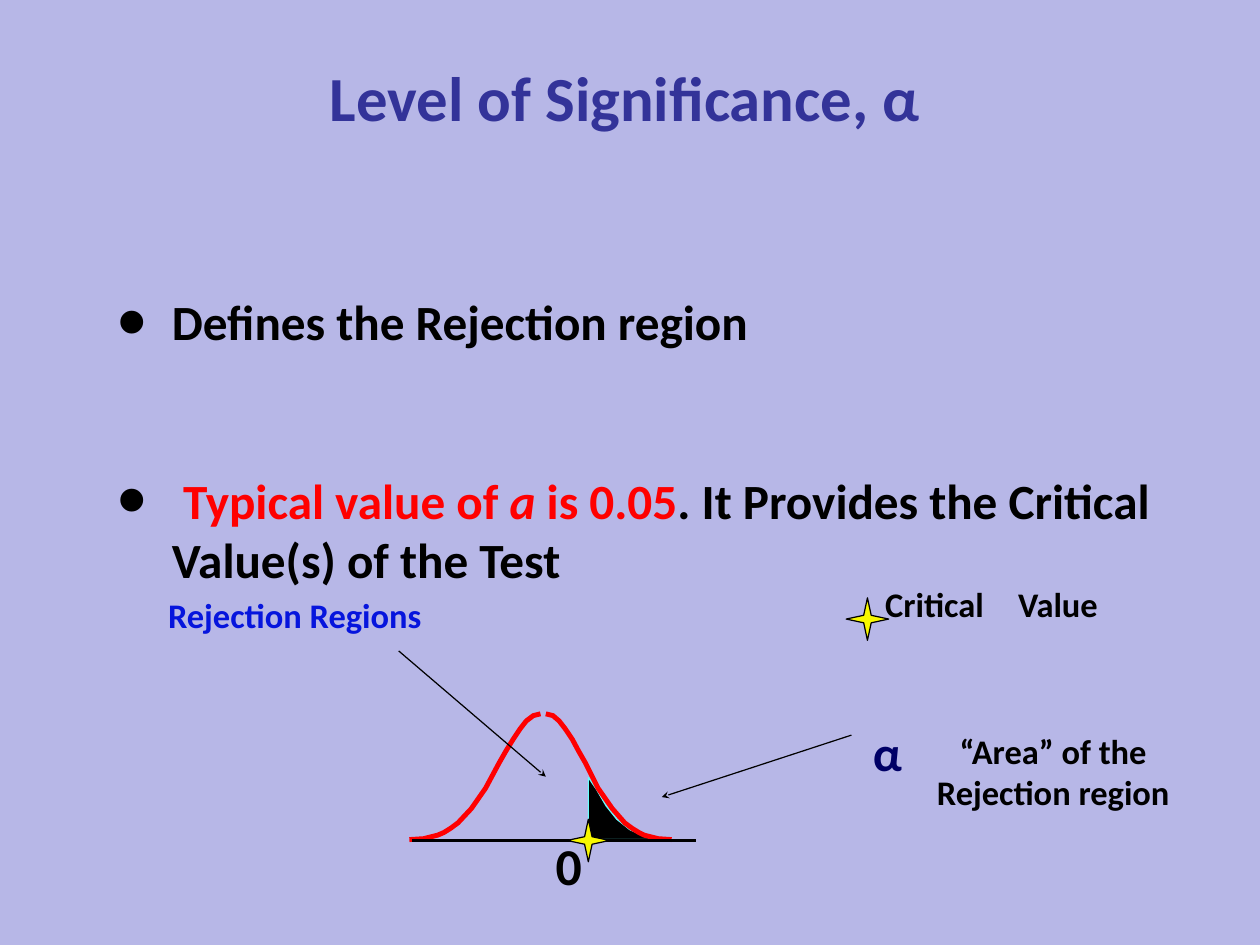
"""Build the slide on the level of significance and its rejection region."""
from lxml import etree
from pptx import Presentation
from pptx import util as u
from pptx.dml.color import RGBColor
from pptx.enum import shapes, text
from pptx.oxml import ns

PX = 9144
HUES = {
    "back": "B7B7E7", "title": "333399", "ink": "000000", "red": "FF0000",
    "navy": "000066", "blue": "0615DD", "star": "F8F800", "edge": "66FFFF",
}
BELL = [(0, 948), (16, 947), (24, 945), (32, 943), (39, 940), (47, 935),
        (55, 929), (70, 913), (86, 890), (101, 862), (109, 848), (117, 835),
        (125, 823), (132, 814), (140, 808), (148, 806)]
TAIL = [(735, 947), (711, 937), (696, 925), (684, 910), (673, 891),
        (664, 878), (664, 948), (735, 948)]


def hue(name):
    return RGBColor.from_string(HUES[name])


def child(node, tag, **attrs):
    return etree.SubElement(node, ns.qn(tag), attrs)


class Page:
    """Hold the slide and its style, and draw each kind of element."""

    def __init__(self, deck, font):
        self.font = font
        self.slide = deck.slides.add_slide(deck.slide_layouts[1])
        self.forms = self.slide.shapes
        fill = self.slide.background.fill
        fill.solid()
        fill.fore_color.rgb = hue("back")

    def place(self, shape, box):
        shape.left, shape.top, shape.width, shape.height = [n * PX for n in box]

    def frame(self, shape, anchor=text.MSO_ANCHOR.TOP):
        frame = shape.text_frame
        frame.word_wrap = True
        frame.auto_size = text.MSO_AUTO_SIZE.NONE
        frame.vertical_anchor = anchor
        frame.margin_left = frame.margin_right = 14 * PX
        frame.margin_top = frame.margin_bottom = 7 * PX
        return frame

    def style(self, font, size, color):
        font.name = self.font
        font.size = u.Pt(size)
        font.bold = True
        font.color.rgb = hue(color)

    def indent(self, para, left, first):
        props = para._p.get_or_add_pPr()
        props.set("marL", str(left * PX))
        props.set("indent", str(first * PX))
        return props

    def letter(self, shape, words, size, color):
        frame = self.frame(shape)
        frame.text = words
        for para in frame.paragraphs:
            para.alignment = text.PP_ALIGN.CENTER
            para.space_before = u.Pt(0)
            self.style(para.font, size, color)
        return frame

    def title(self, box, words, size, color):
        self.place(self.forms.title, box)
        self.letter(self.forms.title, words, size, color)

    def label(self, box, words, size, color="ink"):
        shape = self.forms.add_textbox(*[n * PX for n in box])
        return self.letter(shape, words, size, color)

    def tabbed(self, box, words, size, left, stop):
        para = self.label(box, words, size).paragraphs[0]
        para.alignment = text.PP_ALIGN.LEFT
        props = self.indent(para, left, 0)
        tabs = child(props, "a:tabLst")
        child(tabs, "a:tab", pos=str(stop * PX), algn="l")
        props.append(props.find(ns.qn("a:defRPr")))

    def bullets(self, box, items, size):
        body = self.slide.placeholders[1]
        self.place(body, box)
        frame = self.frame(body, text.MSO_ANCHOR.MIDDLE)
        for i, (gap, runs) in enumerate(items):
            para = frame.add_paragraph() if i else frame.paragraphs[0]
            para.space_before = u.Pt(gap)
            props = self.indent(para, 91, -61)
            child(props, "a:buSzPct", val="171000")
            child(props, "a:buChar", char="•")
            for words, color, slant in runs:
                run = para.add_run()
                run.text = words
                run.font.italic = slant
                self.style(run.font, size, color)

    def paint(self, shape, fill, line, width):
        shape.shadow.inherit = False
        if fill:
            shape.fill.solid()
            shape.fill.fore_color.rgb = hue(fill)
        else:
            shape.fill.background()
        shape.line.color.rgb = hue(line)
        shape.line.width = u.Pt(width)

    def outline(self, points, fill, line, width):
        pen = self.forms.build_freeform(*points[0], scale=PX)
        pen.add_line_segments(points[1:], close=bool(fill))
        self.paint(pen.convert_to_shape(), fill, line, width)

    def star(self, left, top):
        box = [n * PX for n in (left, top, 48, 48)]
        shape = self.forms.add_shape(shapes.MSO_SHAPE.STAR_4_POINT, *box)
        self.paint(shape, "star", "ink", 1)

    def line(self, ends, width, arrow=False):
        link = self.forms.add_connector(
            shapes.MSO_CONNECTOR.STRAIGHT, *[n * PX for n in ends])
        link.line.color.rgb = hue("ink")
        link.line.width = u.Pt(width)
        props = link._element.spPr
        if arrow:
            child(props.find(ns.qn("a:ln")), "a:tailEnd", type="stealth")
        child(props, "a:effectLst")


def main():
    deck = Presentation()
    deck.slide_width, deck.slide_height = 1422 * PX, 1067 * PX
    page = Page(deck, "Calibri")

    page.title((106, 59, 1199, 99), "Level of Significance, α", 51, "title")
    page.bullets((89, 147, 1268, 699), [
        (24, [("Defines the Rejection region", "ink", False)]),
        (97, [(" ", "ink", False),
              ("Typical value of ", "red", False),
              ("a", "red", True),
              (" is 0.05", "red", False),
              (". It Provides the Critical Value(s) of the Test", "ink", False)]),
    ], 40)

    page.outline(TAIL, "ink", "edge", 1)
    page.outline([(462 + x, y) for x, y in BELL], None, "red", 4)
    page.outline([(758 - round(x * 0.96), y) for x, y in BELL], None, "red", 4)
    page.line((465, 949, 786, 949), 2)
    page.label((576, 935, 132, 80), "0", 42)
    page.star(640, 925)

    page.tabbed((955, 651, 378, 108), "Critical\tValue", 28, 30, 230)
    page.star(955, 675)
    page.label((154, 664, 357, 108), "Rejection Regions", 28, "blue")
    page.label((963, 809, 77, 81), "α", 40, "navy")
    page.label((959, 817, 459, 109), "“Area” of the\nRejection region", 28)
    page.line((961, 830, 747, 900), 1, arrow=True)
    page.line((450, 735, 616, 877), 1, arrow=True)

    deck.save("out.pptx")


if __name__ == "__main__":
    main()
